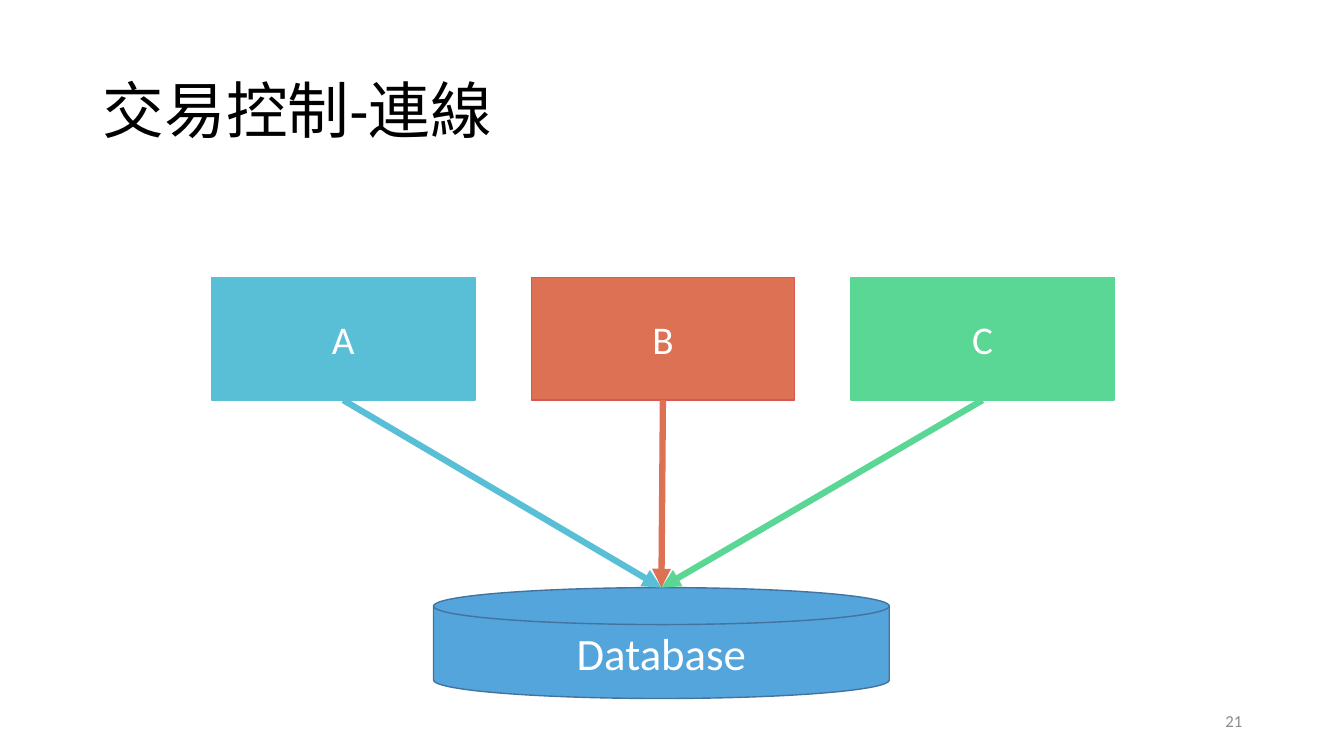
from lxml.etree import SubElement
from pptx import Presentation
from pptx.dml.color import RGBColor
from pptx.enum.shapes import MSO_CONNECTOR, MSO_SHAPE
from pptx.enum.text import MSO_ANCHOR, PP_ALIGN
from pptx.oxml.ns import qn
from pptx.util import Pt

PX = 9144  # 100 px to the inch
LATIN_FONT = "Calibri"
CHINESE_FONT = "Noto Sans CJK SC"

CLIENTS = [  # label, fill, outline
    ("A", "59BFD7", "59BFD7"),
    ("B", "DC7154", "DB5555"),
    ("C", "5AD695", "5AD695"),
]
CLIENT_LEFT, CLIENT_TOP, CLIENT_STEP = 210, 275, 317
CLIENT_WIDTH, CLIENT_HEIGHT = 261, 122
DISK = (430, 583, 452, 110)


def px(*lengths):
    return [length * PX for length in lengths]


def color(value):
    return RGBColor.from_string(value)


def write(shape, text, size, text_color, align):
    frame = shape.text_frame
    frame.text = text
    frame.word_wrap = True
    frame.vertical_anchor = MSO_ANCHOR.MIDDLE
    para = frame.paragraphs[0]
    para.alignment = align
    span = para.runs[0]
    span.font.name = LATIN_FONT
    span.font.size = Pt(size)
    span.font.color.rgb = color(text_color)
    return para


def add_title(page, text):
    title = page.shapes.title
    title.left, title.top, title.width, title.height = px(92, 40, 1150, 145)
    para = write(title, text, 44, "000000", PP_ALIGN.LEFT)
    para.line_spacing = 0.9
    properties = para.runs[0].font._element
    SubElement(properties, qn("a:ea"), typeface=CHINESE_FONT)


def add_block(page, kind, bounds, text, size, fill, outline):
    block = page.shapes.add_shape(kind, *px(*bounds))
    block.shadow.inherit = False
    block.fill.solid()
    block.fill.fore_color.rgb = color(fill)
    block.line.color.rgb = color(outline)
    block.line.width = Pt(1)
    write(block, text, size, "FFFFFF", PP_ALIGN.CENTER)
    return block


def add_arrow(page, client, end, line_color):
    arrow = page.shapes.add_connector(MSO_CONNECTOR.STRAIGHT, 0, 0, *px(*end))
    arrow.begin_connect(client, 2)
    arrow.line.color.rgb = color(line_color)
    arrow.line.width = Pt(4.5)
    SubElement(arrow.line._get_or_add_ln(), qn("a:tailEnd"), type="triangle")
    SubElement(arrow._element.spPr, qn("a:effectLst"))


def add_page_number(page, number):
    box = page.shapes.add_textbox(*px(942, 695, 300, 40))
    write(box, number, 12, "8C8C8C", PP_ALIGN.RIGHT)


def main():
    deck = Presentation()
    deck.slide_width, deck.slide_height = px(1333, 750)
    page = deck.slides.add_slide(deck.slide_layouts[5])
    add_title(page, "交易控制-連線")

    # Clients in a row above the database
    clients = []
    for index, (label, fill, outline) in enumerate(CLIENTS):
        left = CLIENT_LEFT + index * CLIENT_STEP
        bounds = (left, CLIENT_TOP, CLIENT_WIDTH, CLIENT_HEIGHT)
        clients.append(add_block(page, MSO_SHAPE.FLOWCHART_PROCESS, bounds,
                                 label, 28, fill, outline))
    add_block(page, MSO_SHAPE.FLOWCHART_MAGNETIC_DISK, DISK,
              "Database", 32, "54A5DC", "43739E")

    # One connection from each client to the top of the disk
    disk_left, disk_top, disk_width, _ = DISK
    disk_entry = (disk_left + disk_width // 2, disk_top)
    for client, (_, fill, _) in zip(clients, CLIENTS):
        add_arrow(page, client, disk_entry, fill)

    add_page_number(page, "21")
    deck.save("out.pptx")


if __name__ == "__main__":
    main()
